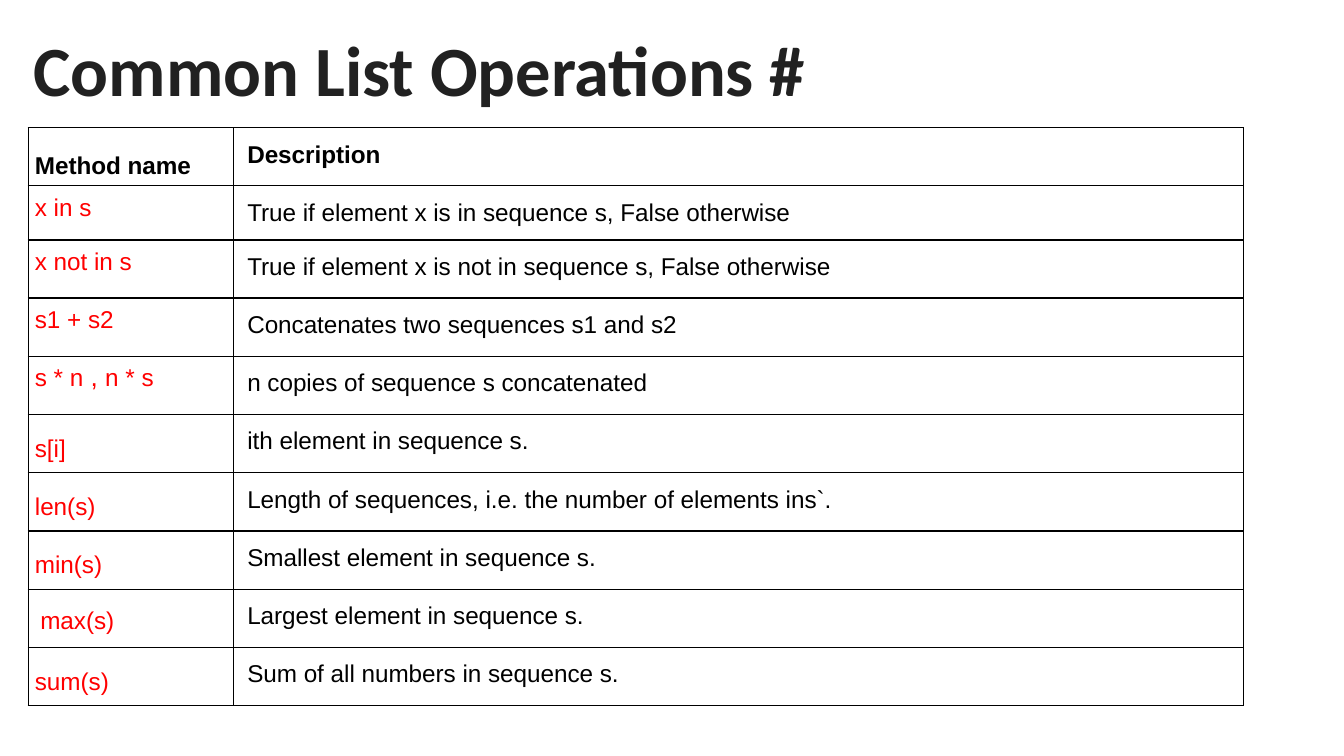
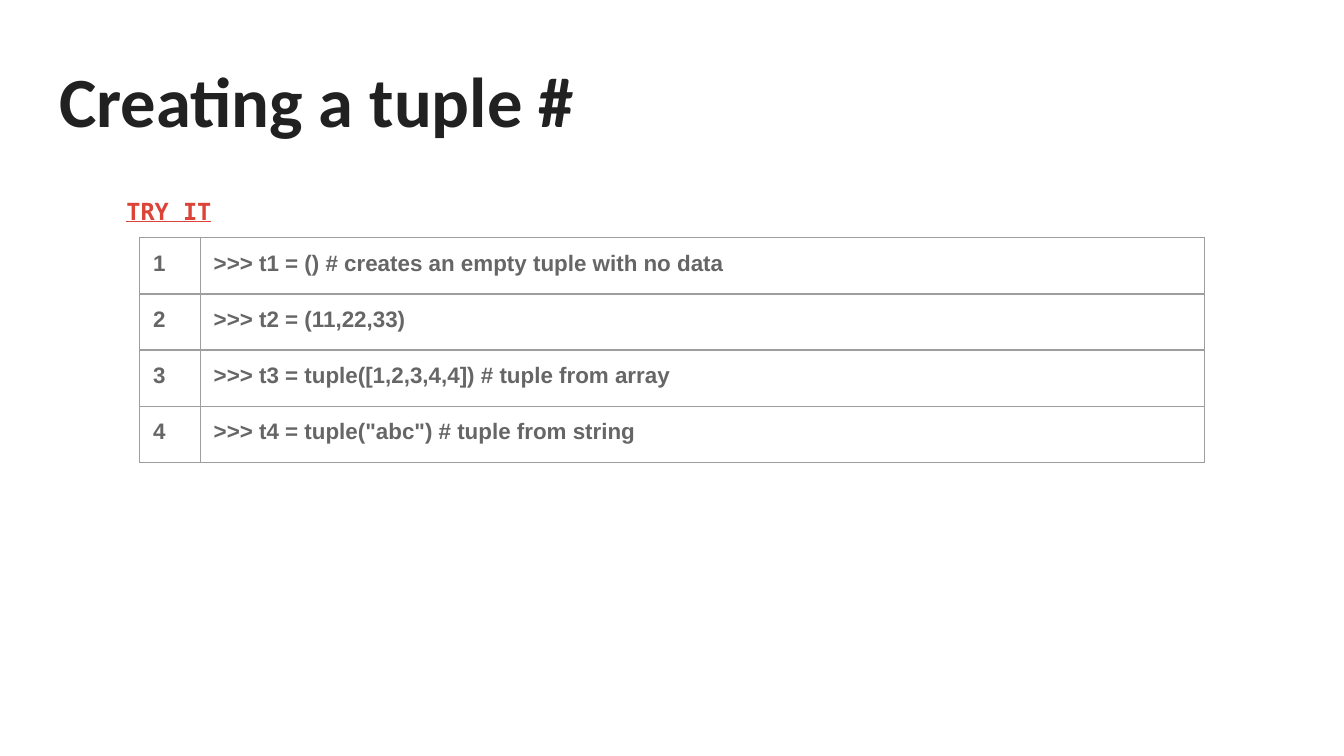
import dataclasses

import lxml.etree
import pptx
import pptx.dml.color
import pptx.enum.text
import pptx.oxml.ns
import pptx.util

Inches = pptx.util.Inches
Pt = pptx.util.Pt
Anchor = pptx.enum.text.MSO_ANCHOR
qn = pptx.oxml.ns.qn


@dataclasses.dataclass(frozen=True)
class Theme:
    title_font: str = "Calibri"
    body_font: str = "Arial"
    code_font: str = "DejaVu Sans Mono"
    title_color: str = "212121"
    text_color: str = "000000"
    method_color: str = "FF0000"
    code_color: str = "666666"
    accent_color: str = "DB4437"
    code_border: str = "9E9E9E"
    title_size: float = 37.8
    label_size: float = 12.6
    table_size: float = 13
    separator_size: float = 14
    code_size: float = 12
    border_width: float = 0.75
    wide_inset: float = 0.1
    tight_inset: float = 0.05


THEME = Theme()


@dataclasses.dataclass(frozen=True)
class Style:
    font: str
    size: float
    color: str
    bold: bool = False
    underline: bool = False


@dataclasses.dataclass(frozen=True)
class Cell:
    spans: tuple
    inset: float = THEME.wide_inset
    anchor: Anchor = Anchor.TOP
    line_spacing: float = 1.0
    indent: float = 0


TITLE = Style(THEME.title_font, THEME.title_size, THEME.title_color, bold=True)
LABEL = Style(THEME.code_font, THEME.label_size, THEME.accent_color, bold=True, underline=True)
HEADING = Style(THEME.body_font, THEME.table_size, THEME.text_color, bold=True)
BODY = Style(THEME.body_font, THEME.table_size, THEME.text_color)
METHOD = Style(THEME.body_font, THEME.table_size, THEME.method_color)
SEPARATOR = Style(THEME.body_font, THEME.separator_size, THEME.method_color)
CODE = Style(THEME.body_font, THEME.code_size, THEME.code_color, bold=True)

UPPER_METHODS = [
    ("x in s", "True if element x is in sequence s, False otherwise"),
    ("x not in s", "True if element x is not in sequence s, False otherwise"),
    ("s1 + s2", "Concatenates two sequences s1 and s2"),
    ("s * n , n * s", "n copies of sequence s concatenated"),
]
LOWER_METHODS = [
    ("s[i]", "ith element in sequence s."),
    ("len(s)", "Length of sequences, i.e. the number of elements ins`."),
    ("min(s)", "Smallest element in sequence s."),
    ("max(s)", "Largest element in sequence s."),
    ("sum(s)", "Sum of all numbers in sequence s."),
]
TUPLE_LINES = [
    ">>> t1 = () # creates an empty tuple with no data",
    ">>> t2 = (11,22,33)",
    ">>> t3 = tuple([1,2,3,4,4]) # tuple from array",
    '>>> t4 = tuple("abc") # tuple from string',
]


class DeckBuilder:
    def __init__(self, theme):
        self.theme = theme
        self.deck = pptx.Presentation()
        self.deck.slide_width = Inches(10)
        self.deck.slide_height = Inches(10) * 9 // 16
        self.page = None

    def add_page(self):
        self.page = self.deck.slides.add_slide(self.deck.slide_layouts[5])

    def add_color(self, parent, color):
        fill = lxml.etree.SubElement(parent, qn("a:solidFill"))
        lxml.etree.SubElement(fill, qn("a:srgbClr"), val=color)

    def add_span(self, para, text, style):
        span = para.add_run()
        span.text = text
        span.font.name = style.font
        span.font.size = Pt(style.size)
        span.font.bold = style.bold
        span.font.color.rgb = pptx.dml.color.RGBColor.from_string(style.color)
        if style.underline:
            span.font.underline = True
            underline = lxml.etree.Element(qn("a:uFill"))
            self.add_color(underline, style.color)
            span._r.get_or_add_rPr().find(qn("a:latin")).addprevious(underline)

    def set_insets(self, target, inset):
        for side in ("left", "top", "right", "bottom"):
            setattr(target, f"margin_{side}", Inches(inset))

    def add_title(self, left, top, text, label=None):
        box = self.page.shapes.title
        box.left, box.top = Inches(left), Inches(top)
        box.width, box.height = Inches(9.32), Inches(0.88)
        frame = box.text_frame
        frame.word_wrap = True
        frame.auto_size = pptx.enum.text.MSO_AUTO_SIZE.NONE
        frame.vertical_anchor = Anchor.TOP
        self.set_insets(frame, self.theme.wide_inset)
        para = frame.paragraphs[0]
        para.alignment = pptx.enum.text.PP_ALIGN.LEFT
        self.add_span(para, text, TITLE)
        if label:
            para = frame.add_paragraph()
            para.alignment = pptx.enum.text.PP_ALIGN.LEFT
            para.space_before = Pt(30)
            para._p.get_or_add_pPr().set("indent", str(Inches(0.5)))
            self.add_span(para, label, LABEL)

    def add_borders(self, cell, color):
        properties = cell._tc.get_or_add_tcPr()
        for edge in ("a:lnL", "a:lnR", "a:lnT", "a:lnB"):
            line = lxml.etree.SubElement(
                properties, qn(edge), w=str(Pt(self.theme.border_width)))
            self.add_color(line, color)

    def fill_cell(self, cell, content, border):
        self.add_borders(cell, border)
        cell.fill.background()
        cell.vertical_anchor = content.anchor
        self.set_insets(cell, content.inset)
        para = cell.text_frame.paragraphs[0]
        para.line_spacing = content.line_spacing
        if content.indent:
            para._p.get_or_add_pPr().set("marL", str(Inches(content.indent)))
        for text, style in content.spans:
            self.add_span(para, text, style)

    def add_table(self, left, top, widths, heights, rows, border):
        table = self.page.shapes.add_table(
            len(rows), len(widths), Inches(left), Inches(top),
            Inches(sum(widths)), Inches(sum(heights))).table
        table.first_row = False
        table.horz_banding = False
        for column, width in zip(table.columns, widths):
            column.width = Inches(width)
        for row, height, contents in zip(table.rows, heights, rows):
            row.height = Inches(height)
            for cell, content in zip(row.cells, contents):
                self.fill_cell(cell, content, border)


def method_cell(name, line_spacing):
    first, separator, second = name.partition(" , ")
    spans = [(first, METHOD)]
    if separator:
        spans += [(separator, SEPARATOR), (second, METHOD)]
    indented = name == "max(s)"
    if not indented:
        spans.append((" ", SEPARATOR))
    return Cell(tuple(spans), THEME.tight_inset, line_spacing=line_spacing,
                indent=0.04 if indented else 0)


def build_operations(builder):
    builder.add_page()
    builder.add_title(0.15, 0.09, "Common List Operations #")
    rows = [(
        Cell((("Method name", HEADING),), THEME.tight_inset, Anchor.BOTTOM),
        Cell((("Description", HEADING),)),
    )]
    for methods, line_spacing in ((UPPER_METHODS, 1.0), (LOWER_METHODS, 1.43)):
        for name, description in methods:
            rows.append((method_cell(name, line_spacing), Cell(((description, BODY),))))
    regular = 3.9 / (len(rows) - 1)
    heights = [regular, 0.32] + [regular] * (len(rows) - 2)
    builder.add_table(0.21, 0.95, [1.53, 7.51], heights, rows, THEME.text_color)


def build_tuples(builder):
    builder.add_page()
    builder.add_title(0.34, 0.32, "Creating a tuple #", label="TRY IT")
    rows = [
        (Cell(((str(number), CODE),)), Cell(((line, CODE),)))
        for number, line in enumerate(TUPLE_LINES, start=1)
    ]
    heights = [1.67 / len(rows)] * len(rows)
    builder.add_table(1.04, 1.77, [0.45, 7.47], heights, rows, THEME.code_border)


def main():
    builder = DeckBuilder(THEME)
    build_operations(builder)
    build_tuples(builder)
    builder.deck.save("out.pptx")


if __name__ == "__main__":
    main()
